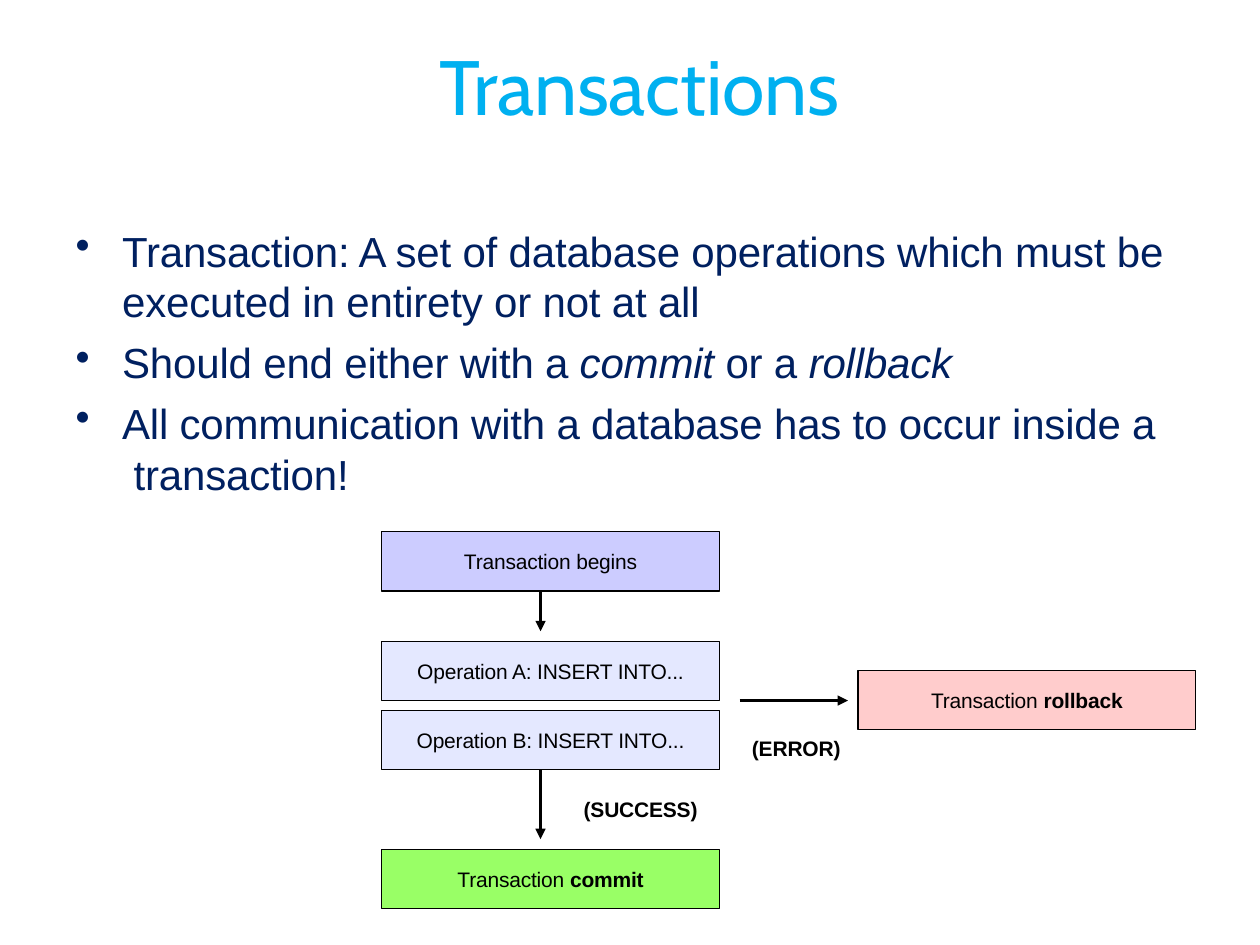
from pptx import Presentation
from pptx import util as u
from pptx.dml.color import RGBColor
from pptx.enum import shapes, text
from pptx.oxml.ns import qn
from lxml import etree

BOX_WIDTH, BOX_HEIGHT = 2.68, 0.47
FLOW_LEFT, FLOW_ARROW_X = 3.03, 4.29


def color(value):
    """Turn a hex string into a colour."""
    return RGBColor.from_string(value)


def add_runs(paragraph, parts, size, ink, font="Arial"):
    """Fill a paragraph with (wording, style) parts in one font."""
    paragraph.font.size = u.Pt(size)
    paragraph.font.name = font
    paragraph.font.color.rgb = color(ink)
    for wording, style in parts:
        run = paragraph.add_run()
        run.text = wording
        run._r.get_or_add_rPr().set("spc", "-10")
        if style == "bold":
            run.font.bold = True
        elif style == "italic":
            run.font.italic = True


def clear_margins(frame):
    """Wrap the text and remove the insets."""
    frame.word_wrap = True
    frame.margin_left = frame.margin_right = 0
    frame.margin_top = frame.margin_bottom = 0


def add_text(slide, left, top, width, height):
    """Add an empty text area and return its frame."""
    area = slide.shapes.add_textbox(*map(u.Inches, (left, top, width, height)))
    clear_margins(area.text_frame)
    return area.text_frame


def add_title(slide, wording):
    """Add the slide title."""
    frame = add_text(slide, 0, 0.3, 7.58, 0.74)
    frame.vertical_anchor = text.MSO_ANCHOR.MIDDLE
    heading = frame.paragraphs[0]
    heading.alignment = text.PP_ALIGN.CENTER
    heading._p.get_or_add_pPr().set("marL", str(u.Inches(2.57)))
    add_runs(heading, [(wording, "")], 44, "00B0F0", "Cabin")


def add_bullets(slide, points):
    """Add the bulleted statements."""
    frame = add_text(slide, 0.59, 1.79, 8.74, 2.18)
    for index, parts in enumerate(points):
        point = frame.add_paragraph() if index else frame.paragraphs[0]
        point.space_before = u.Pt(6 if index else 0)
        properties = point._p.get_or_add_pPr()
        properties.set("marL", str(u.Inches(0.38)))
        properties.set("indent", str(u.Inches(-0.37)))
        etree.SubElement(properties, qn("a:buChar")).set("char", "\u2022")
        add_runs(point, parts, 24, "002060")


def add_step(slide, left, top, fill, parts):
    """Add one box of the flow."""
    step = slide.shapes.add_shape(
        shapes.MSO_SHAPE.RECTANGLE,
        *map(u.Inches, (left, top, BOX_WIDTH, BOX_HEIGHT)))
    step.shadow.inherit = False
    step.fill.solid()
    step.fill.fore_color.rgb = color(fill)
    step.line.color.rgb = color("000000")
    step.line.width = u.Pt(0.74)
    clear_margins(step.text_frame)
    step.text_frame.vertical_anchor = text.MSO_ANCHOR.MIDDLE
    label = step.text_frame.paragraphs[0]
    label.alignment = text.PP_ALIGN.CENTER
    add_runs(label, parts, 12, "000000")


def add_arrow(slide, x1, y1, x2, y2):
    """Add a straight arrow to its second point."""
    arrow = slide.shapes.add_connector(
        shapes.MSO_CONNECTOR.STRAIGHT, *map(u.Inches, (x1, y1, x2, y2)))
    arrow.line.color.rgb = color("000000")
    arrow.line.width = u.Pt(1.25)
    etree.SubElement(arrow.line._get_or_add_ln(), qn("a:tailEnd")).set("type", "triangle")
    etree.SubElement(arrow._element.spPr, qn("a:effectLst"))


def add_outcome(slide, left, top, width, wording):
    """Add the bold label of an arrow."""
    label = add_text(slide, left, top, width, 0.21).paragraphs[0]
    label.alignment = text.PP_ALIGN.CENTER
    add_runs(label, [(wording, "bold")], 12, "000000")


def main():
    """Build and save the slide."""
    deck = Presentation()
    deck.slide_width, deck.slide_height = u.Inches(10), u.Inches(7.5)
    slide = deck.slides.add_slide(deck.slide_layouts[6])
    add_title(slide, "Transactions")
    add_bullets(slide, [
        [("Transaction: A set of database operations which must be "
          "executed in entirety or not at all", "")],
        [("Should end either with a ", ""), ("commit ", "italic"),
         ("or a ", ""), ("rollback", "italic")],
        [("All communication with a database has to occur inside a "
          "\u00a0transaction!", "")],
    ])
    for left, top, fill, wording, ending in (
            (FLOW_LEFT, 4.22, "CCCCFF", "Transaction begins", ""),
            (FLOW_LEFT, 5.09, "E4E8FF", "Operation A: INSERT INTO...", ""),
            (FLOW_LEFT, 5.64, "E4E8FF", "Operation B: INSERT INTO...", ""),
            (FLOW_LEFT, 6.74, "99FF66", "Transaction ", "commit"),
            (6.81, 5.32, "FFCCCC", "Transaction ", "rollback")):
        parts = [(wording, "")] + ([(ending, "bold")] if ending else [])
        add_step(slide, left, top, fill, parts)
    add_arrow(slide, FLOW_ARROW_X, 4.69, FLOW_ARROW_X, 5.01)
    add_arrow(slide, FLOW_ARROW_X, 6.11, FLOW_ARROW_X, 6.66)
    add_arrow(slide, 5.87, 5.56, 6.73, 5.56)
    add_outcome(slide, 4.61, 6.32, 0.95, "(SUCCESS)")
    add_outcome(slide, 5.95, 5.84, 0.74, "(ERROR)")
    deck.save("out.pptx")


main()
